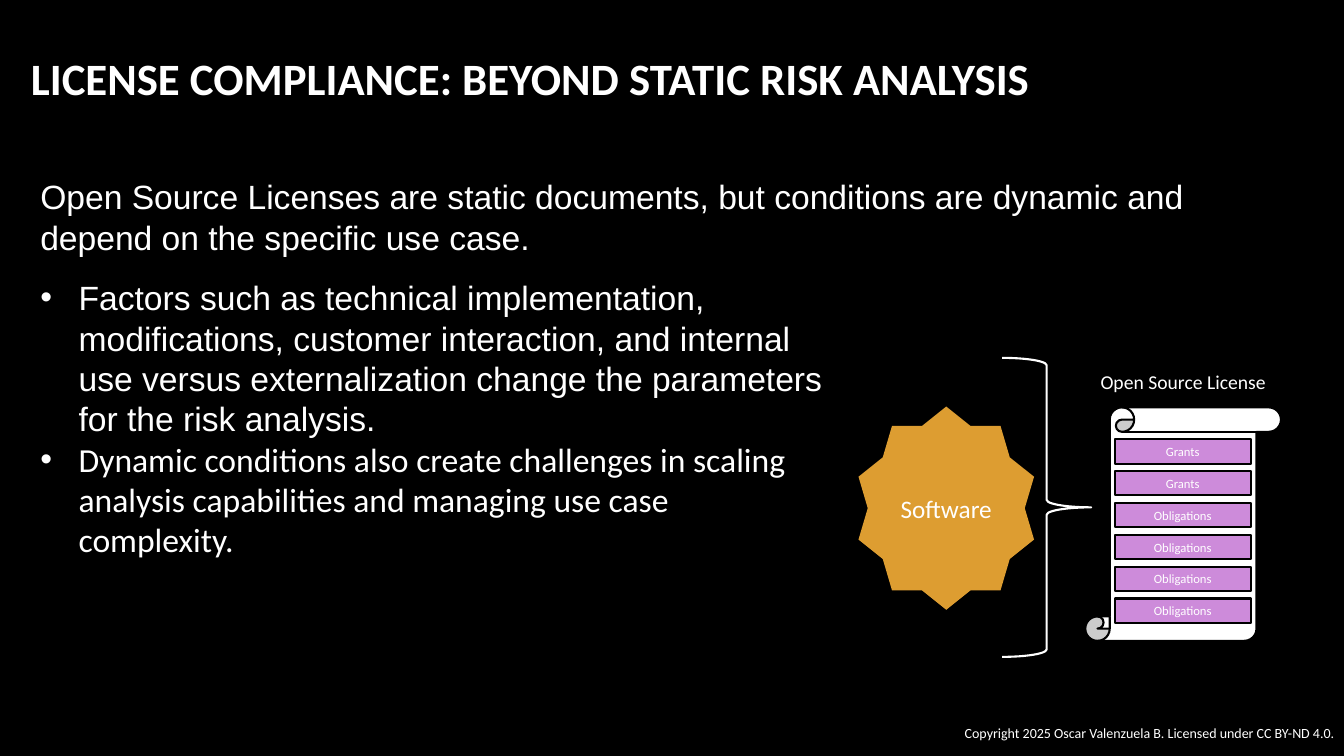
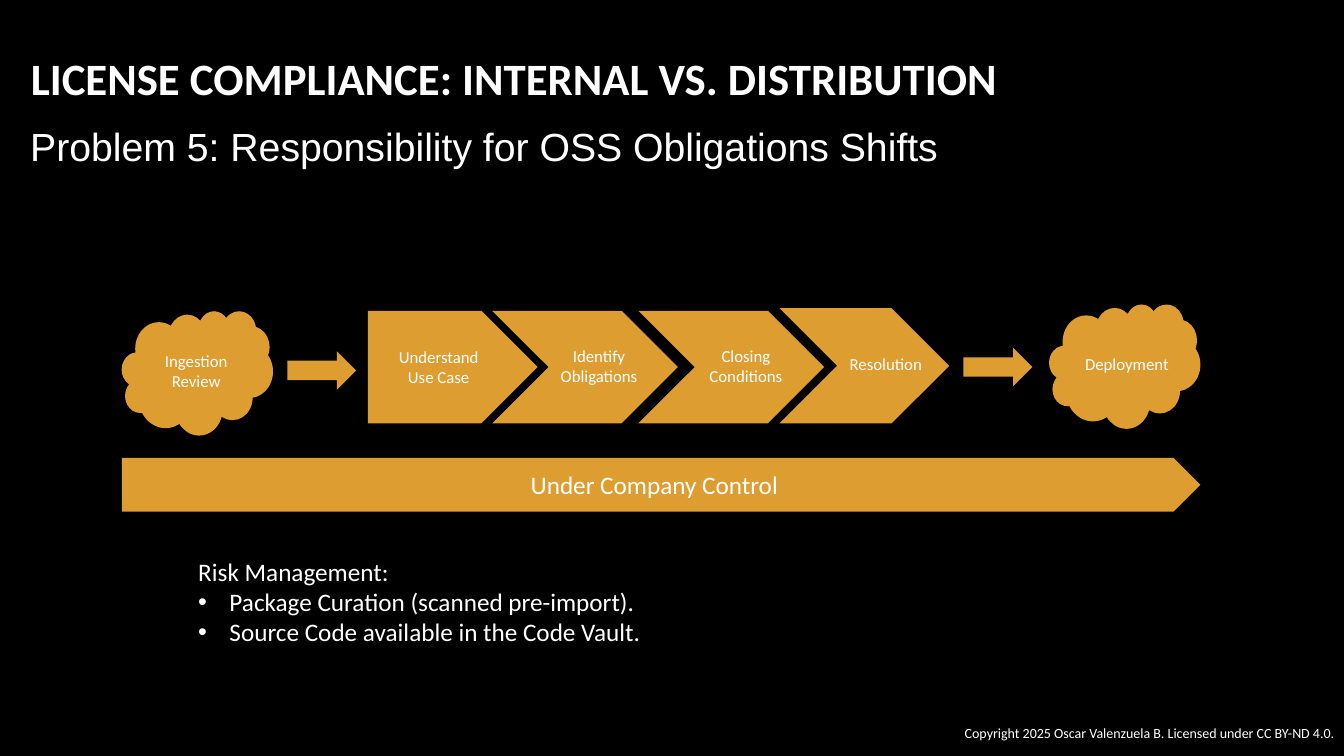
"""Build two slides on open source license compliance."""
from dataclasses import dataclass
from typing import Any, Optional

from lxml import etree
from pptx import Presentation
from pptx.dml.color import RGBColor
from pptx.enum.shapes import MSO_SHAPE
from pptx.enum.text import MSO_ANCHOR, PP_ALIGN
from pptx.oxml.ns import qn
from pptx.util import Inches, Pt

SCROLL, RECTANGLE = MSO_SHAPE.VERTICAL_SCROLL, MSO_SHAPE.RECTANGLE
STAR, BRACE, CLOUD = MSO_SHAPE.STAR_10_POINT, MSO_SHAPE.RIGHT_BRACE, MSO_SHAPE.CLOUD
PENTAGON, CHEVRON, ARROW = MSO_SHAPE.PENTAGON, MSO_SHAPE.CHEVRON, MSO_SHAPE.RIGHT_ARROW
LEFT, CENTER, RIGHT = PP_ALIGN.LEFT, PP_ALIGN.CENTER, PP_ALIGN.RIGHT
TOP, MIDDLE, BOTTOM = MSO_ANCHOR.TOP, MSO_ANCHOR.MIDDLE, MSO_ANCHOR.BOTTOM

SLIDE_WIDTH, SLIDE_HEIGHT = Inches(13.33), Inches(7.5)
COLUMNS, ROWS = 160, 90


@dataclass(frozen=True)
class Theme:
    """Colours, fonts and type sizes of the presentation."""
    background: str = "000000"
    ink: str = "FFFFFF"
    accent: str = "DD9D31"
    term: str = "CD8BDA"
    heading_font: str = "Calibri"
    body_font: str = "Arial"
    title: int = 32
    subtitle: int = 28
    body: int = 24
    large: int = 18
    caption: int = 14
    label: int = 12
    footer: int = 10
    small: int = 9
    outline: float = 1.5


THEME = Theme()


@dataclass(frozen=True)
class Box:
    """A place on the grid, in columns and rows."""
    column: float
    row: float
    columns: float
    rows: float

    def place(self) -> tuple[int, int, int, int]:
        """Return left, top, width and height in slide units."""
        column, row = SLIDE_WIDTH / COLUMNS, SLIDE_HEIGHT / ROWS
        return (round(self.column * column), round(self.row * row),
                round(self.columns * column), round(self.rows * row))


@dataclass(frozen=True)
class Line:
    """One paragraph, with a hanging indent in inches if it is a bullet."""
    text: str
    font: str = THEME.heading_font
    indent: float = 0


@dataclass(frozen=True)
class Text:
    """Paragraphs and the format they share."""
    lines: tuple[Line, ...]
    size: int
    align: Any = LEFT
    anchor: Any = TOP
    inset: float = 0
    wrap: bool = True
    bold: bool = False
    spacing: float = 1


@dataclass(frozen=True)
class Figure:
    """A preset shape with its fill, outline and text."""
    preset: Any
    box: Box
    fill: Optional[str] = THEME.accent
    line: Optional[str] = None
    text: Optional[Text] = None


def lines(*texts: str) -> tuple[Line, ...]:
    """Make plain paragraphs in the heading font."""
    return tuple(Line(text) for text in texts)


def centered(size: int, *texts: str) -> Text:
    """Make the text that sits in the middle of a shape."""
    return Text(lines(*texts), size, CENTER, MIDDLE, inset=0.1)


def label(size: int, *texts: str) -> Text:
    """Make a free-standing centred label."""
    return Text(lines(*texts), size, CENTER, wrap=False)


def apply(target: Any, values: dict[str, Any]) -> None:
    """Set each named attribute on the target."""
    for name, value in values.items():
        setattr(target, name, value)


def add_bullet(paragraph: Any, indent: float) -> None:
    """Give a paragraph a round bullet and a hanging indent."""
    properties = paragraph._p.get_or_add_pPr()
    properties.set("marL", str(Inches(indent)))
    properties.set("indent", str(-Inches(indent)))
    etree.SubElement(properties, qn("a:buFont")).set("typeface", THEME.body_font)
    etree.SubElement(properties, qn("a:buChar")).set("char", "•")


def write_text(shape: Any, text: Text) -> None:
    """Write formatted paragraphs into a shape."""
    frame = shape.text_frame
    apply(frame, {
        "word_wrap": text.wrap, "vertical_anchor": text.anchor,
        "margin_left": Inches(text.inset), "margin_right": Inches(0.1),
        "margin_top": Inches(0.05), "margin_bottom": Inches(0.05),
    })
    for index, line in enumerate(text.lines):
        paragraph = frame.add_paragraph() if index else frame.paragraphs[0]
        if line.indent:
            add_bullet(paragraph, line.indent)
        apply(paragraph, {"alignment": text.align, "line_spacing": text.spacing})
        run = paragraph.add_run()
        run.text = line.text
        apply(run.font, {"name": line.font, "size": Pt(text.size), "bold": text.bold})
        run.font.color.rgb = RGBColor.from_string(THEME.ink)


def add_text(slide: Any, box: Box, text: Text) -> None:
    """Add a text box to the slide."""
    write_text(slide.shapes.add_textbox(*box.place()), text)


def paint(fill: Any, color: Optional[str]) -> None:
    """Fill with a solid colour, or with nothing."""
    if color is None:
        fill.background()
    else:
        fill.solid()
        fill.fore_color.rgb = RGBColor.from_string(color)


def add_figure(slide: Any, figure: Figure) -> None:
    """Add a preset shape to the slide."""
    shape = slide.shapes.add_shape(figure.preset, *figure.box.place())
    shape.shadow.inherit = False
    paint(shape.fill, figure.fill)
    paint(shape.line.fill, figure.line)
    if figure.line:
        shape.line.width = Pt(THEME.outline)
    if figure.text:
        write_text(shape, figure.text)


def add_slide(presentation: Any, title: str) -> Any:
    """Add a blank slide with the shared title and footer."""
    slide = presentation.slides.add_slide(presentation.slide_layouts[6])
    add_text(slide, Box(2.5, 4.2, 151, 8.9),
             Text(lines(title), THEME.title, anchor=BOTTOM, inset=0.1, bold=True, spacing=0.9))
    add_text(slide, Box(0, 85.7, COLUMNS, 3.2),
             Text(lines("Copyright 2025 Oscar Valenzuela B. Licensed under CC BY-ND 4.0."),
                  THEME.footer, RIGHT, inset=0.1))
    return slide


def build_risk_slide(presentation: Any) -> None:
    """Show software bound by the terms of a license."""
    slide = add_slide(presentation, "LICENSE COMPLIANCE: BEYOND STATIC RISK ANALYSIS")
    intro = Line("Open Source Licenses are static documents, but conditions are dynamic "
                 "and depend on the specific use case.", THEME.body_font)
    factors = Line("Factors such as technical implementation, modifications, customer "
                   "interaction, and internal use versus externalization change the "
                   "parameters for the risk analysis.", THEME.body_font, 0.38)
    challenges = Line("Dynamic conditions also create challenges in scaling analysis "
                      "capabilities and managing use case complexity.", indent=0.38)
    add_text(slide, Box(4.8, 20.4, 148.8, 10.9), Text((intro,), THEME.body))
    add_text(slide, Box(4.8, 32.4, 95, 35.2), Text((factors, challenges), THEME.body))

    add_figure(slide, Figure(SCROLL, Box(129.2, 48.5, 23.3, 27.8), THEME.ink, THEME.background))
    terms = ["Grants"] * 2 + ["Obligations"] * 4
    for index, term in enumerate(terms):
        box = Box(132.7, 52.3 + 3.79 * index, 16.2, 2.9)
        add_figure(slide, Figure(RECTANGLE, box, THEME.term, THEME.background,
                                 centered(THEME.small, term)))
    add_text(slide, Box(129.8, 43.4, 23.3, 4.1), label(THEME.caption, "Open Source License"))
    add_figure(slide, Figure(STAR, Box(102.2, 48.4, 20.9, 24.2),
                             text=centered(THEME.large, "Software")))
    add_figure(slide, Figure(BRACE, Box(119.3, 42.6, 10.6, 35.6), None, THEME.ink))


def build_distribution_slide(presentation: Any) -> None:
    """Show the review process under company control."""
    slide = add_slide(presentation, "LICENSE COMPLIANCE: INTERNAL VS. DISTRIBUTION")
    subtitle = Line("Problem 5: Responsibility for OSS Obligations Shifts", THEME.body_font)
    add_text(slide, Box(3.6, 14, 110.5, 6.8), Text((subtitle,), THEME.subtitle))

    figures = (
        Figure(CLOUD, Box(14.5, 37, 18, 14.8)),
        Figure(ARROW, Box(34.2, 41.8, 8.2, 4.6)),
        Figure(PENTAGON, Box(43.8, 37, 20.2, 13.4),
               text=centered(THEME.label, "Understand", "Use Case")),
        Figure(CHEVRON, Box(58.6, 37, 22.1, 13.4)),
        Figure(CHEVRON, Box(76, 37, 22.1, 13.4)),
        Figure(CHEVRON, Box(92.8, 36.7, 20.2, 13.7)),
        Figure(ARROW, Box(114.7, 41.4, 8.2, 4.6)),
        Figure(CLOUD, Box(124.9, 36.2, 18, 14.8)),
        Figure(PENTAGON, Box(14.5, 54.5, 128.4, 6.4),
               text=centered(THEME.large, "Under Company Control")),
    )
    for figure in figures:
        add_figure(slide, figure)

    labels = (
        (Box(19.1, 41.2, 9.7, 6), ("Ingestion", "Review")),
        (Box(66, 40.6, 11.8, 6), ("Identify", "Obligations")),
        (Box(83.9, 40.6, 11, 6), ("Closing", "Conditions")),
        (Box(100.6, 41.5, 10.9, 3.6), ("Resolution",)),
        (Box(128.5, 41.5, 12.5, 3.6), ("Deployment",)),
    )
    for box, texts in labels:
        add_text(slide, box, label(THEME.label, *texts))

    measures = (Line("Risk Management:"),
                Line("Package Curation (scanned pre-import).", indent=0.31),
                Line("Source Code available in the Code Vault.", indent=0.31))
    add_text(slide, Box(23.6, 65.6, 62.9, 12.1), Text(measures, THEME.large))


def main() -> None:
    """Build and save the presentation."""
    presentation = Presentation()
    apply(presentation, {"slide_width": SLIDE_WIDTH, "slide_height": SLIDE_HEIGHT})
    paint(presentation.slide_master.background.fill, THEME.background)
    build_risk_slide(presentation)
    build_distribution_slide(presentation)
    presentation.save("out.pptx")


if __name__ == "__main__":
    main()
